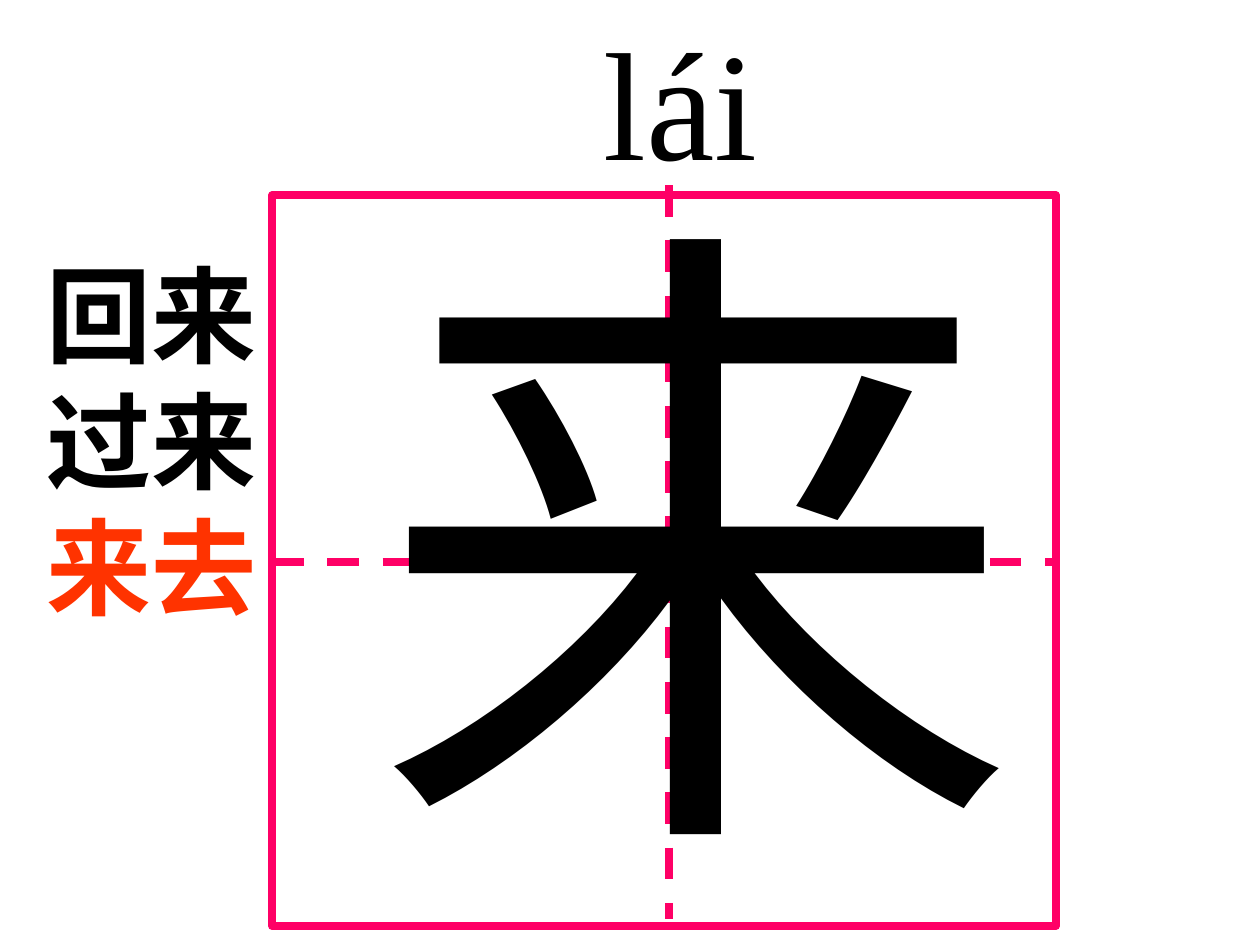
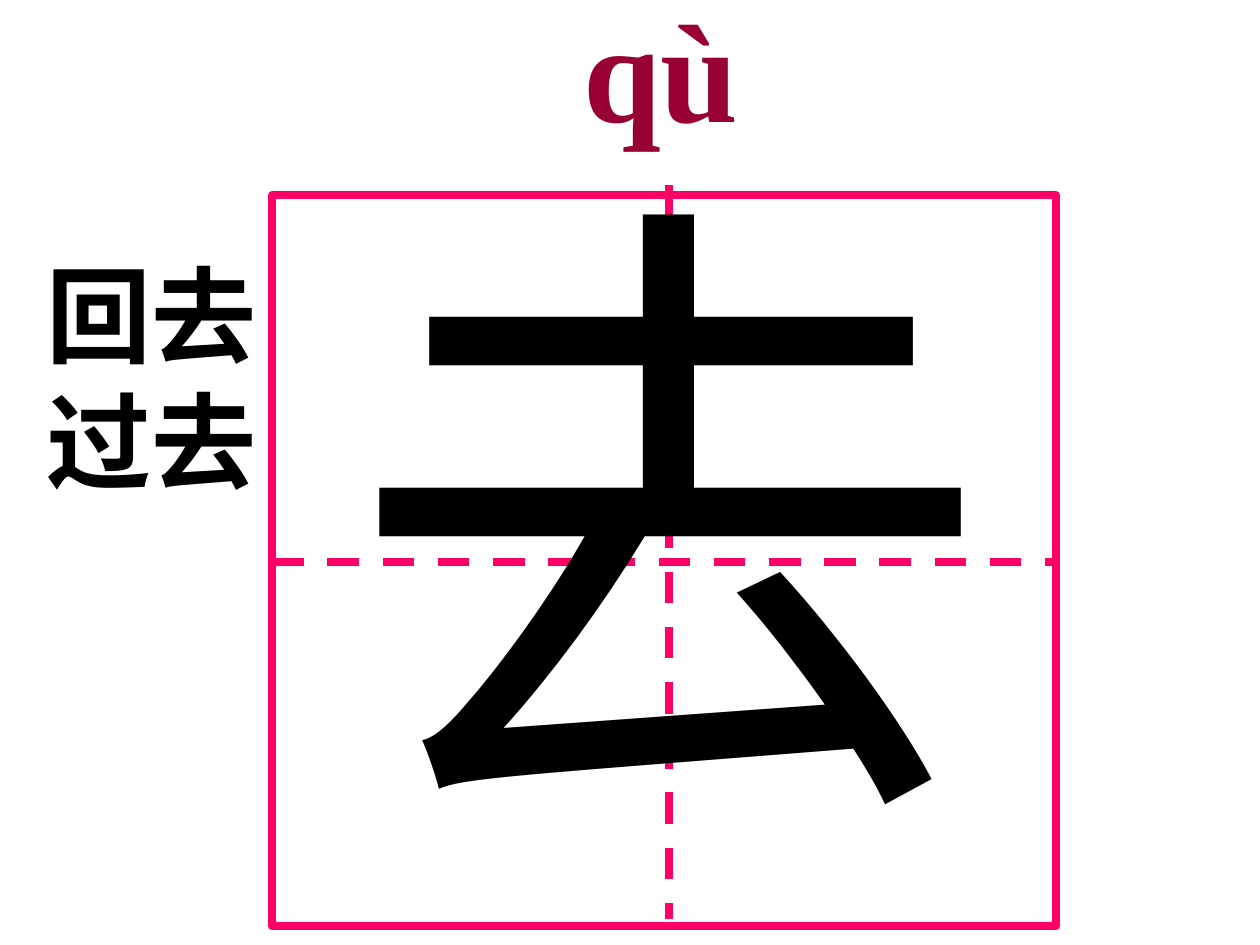
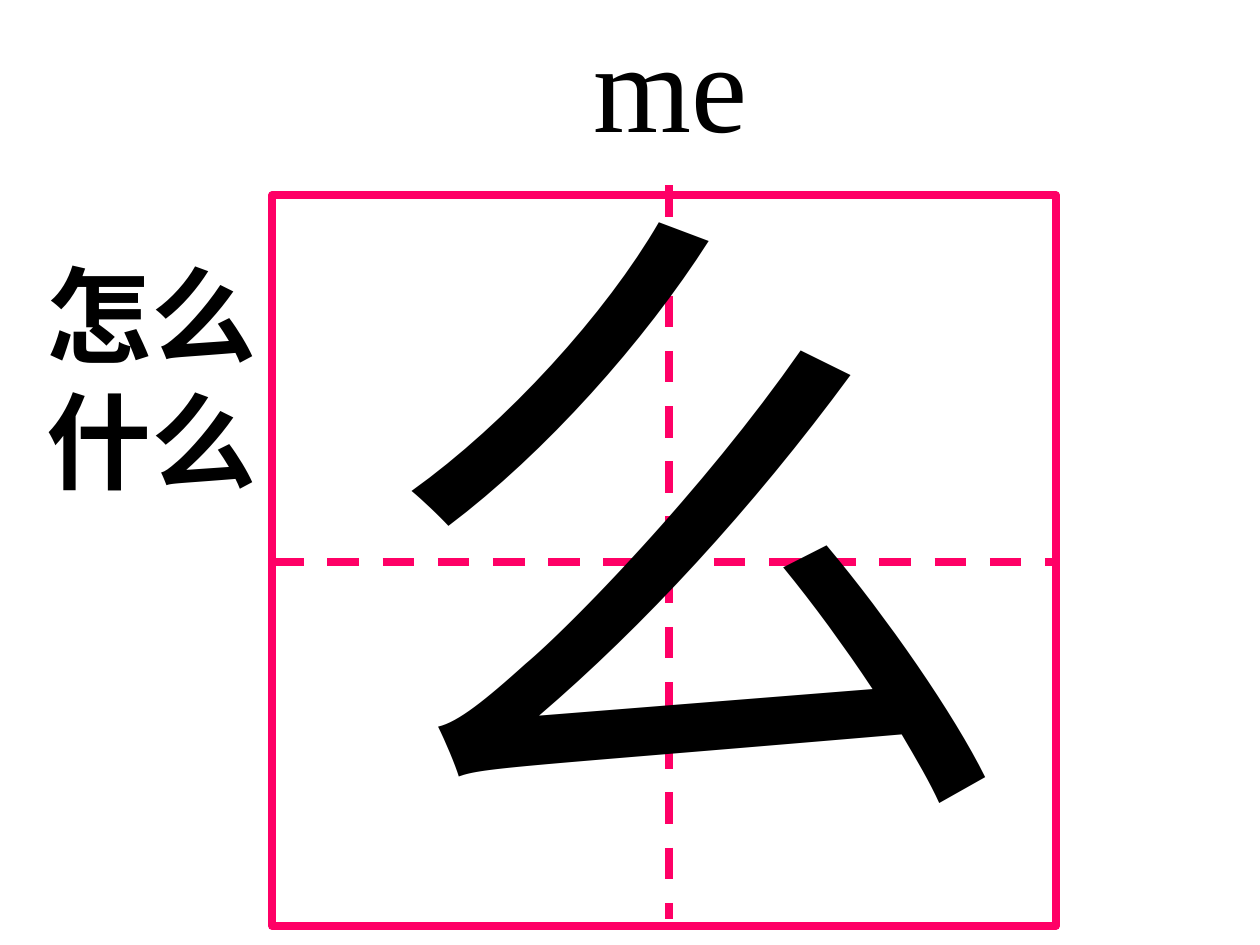
from lxml import etree
from pptx import Presentation
from pptx.dml.color import RGBColor
from pptx.enum.dml import MSO_LINE
from pptx.enum.lang import MSO_LANGUAGE_ID
from pptx.enum.shapes import MSO_CONNECTOR, MSO_SHAPE
from pptx.enum.text import MSO_AUTO_SIZE
from pptx.oxml.ns import qn
from pptx.util import Inches, Pt

DASH = MSO_LINE.DASH
STRAIGHT = MSO_CONNECTOR.STRAIGHT
RECT = MSO_SHAPE.RECTANGLE
GROW = MSO_AUTO_SIZE.SHAPE_TO_FIT_TEXT
CHINESE = MSO_LANGUAGE_ID.SIMPLIFIED_CHINESE

BLACK, PINK, WINE, RED = "000000", "FF0066", "990033", "FF3300"
SERIF, SANS = "Times New Roman", "Arial"

GRID = (2.16, 1.55, 6.22, 5.8)
ROW = (2.16, 4.46, 8.39, 4.46)
COLUMN = (5.31, 1.47, 5.31, 7.29)
DOT = (1.85, 4.46, 1.85, 4.46)

GLYPH = {"name": SERIF, "size": Pt(370)}
WORDS = {"name": SANS, "size": Pt(60), "bold": True}

CARDS = [
    {
        "sound": ("lái", BLACK, (4.69, 0, 1.42, 1.57), False, {"size": Pt(88)}),
        "glyph": ("来", 2.86, 1.03),
        "words": [("回来过来", BLACK), ("来去", RED)],
    },
    {
        "sound": ("qù", WINE, (4.53, -0.19, 3.23, 1.44), True,
                  {"size": Pt(80), "bold": True}),
        "glyph": ("去", 2.64, 0.84),
        "words": [("回去过去", BLACK)],
    },
    {
        "sound": ("me", BLACK, (4.61, 0, 1.42, 1.3), False, {"size": Pt(72)}),
        "glyph": ("么", 2.86, 0.84),
        "words": [("怎么什么", BLACK)],
    },
]


def color(code):
    return RGBColor.from_string(code)


def add_line(shapes, ends, code, width, dash=None):
    line = shapes.add_connector(STRAIGHT, *map(Inches, ends))
    line.line.color.rgb = color(code)
    line.line.width = Pt(width)
    if dash:
        line.line.dash_style = dash
    etree.SubElement(line._element.spPr, qn("a:effectLst"))


def add_text(slide, runs, place, style, wrap=True):
    frame = slide.shapes.add_textbox(*map(Inches, place)).text_frame
    frame.word_wrap = wrap
    frame.auto_size = GROW
    for text, code in runs:
        run = frame.paragraphs[0].add_run()
        run.text = text
        for key, value in style.items():
            setattr(run.font, key, value)
        run.font.language_id = CHINESE
        run.font.color.rgb = color(code)


def add_grid(slide):
    add_line(slide.shapes, DOT, BLACK, 0.75)
    group = slide.shapes.add_group_shape()
    frame = group.shapes.add_shape(RECT, *map(Inches, GRID))
    frame.shadow.inherit = False
    frame.fill.background()
    frame.line.color.rgb = color(PINK)
    frame.line.width = Pt(4.5)
    add_line(group.shapes, ROW, PINK, 4.5, DASH)
    add_line(slide.shapes, COLUMN, PINK, 4.5, DASH)


def add_card(slide, card):
    add_grid(slide)
    glyph, left, top = card["glyph"]
    add_text(slide, [(glyph, BLACK)], (left, top, 5.14, 6.27), GLYPH)
    words = card["words"]
    lines = sum(len(text) for text, _ in words) // 2
    add_text(slide, words, (0.27, 1.94, 2.05, lines + 0.1), WORDS)
    sound, code, place, wrap, style = card["sound"]
    add_text(slide, [(sound, code)], place, {"name": SERIF, **style}, wrap)


def main():
    deck = Presentation()
    deck.slide_width = Inches(10)
    deck.slide_height = Inches(7.5)
    for card in CARDS:
        add_card(deck.slides.add_slide(deck.slide_layouts[6]), card)
    deck.save("out.pptx")


if __name__ == "__main__":
    main()
